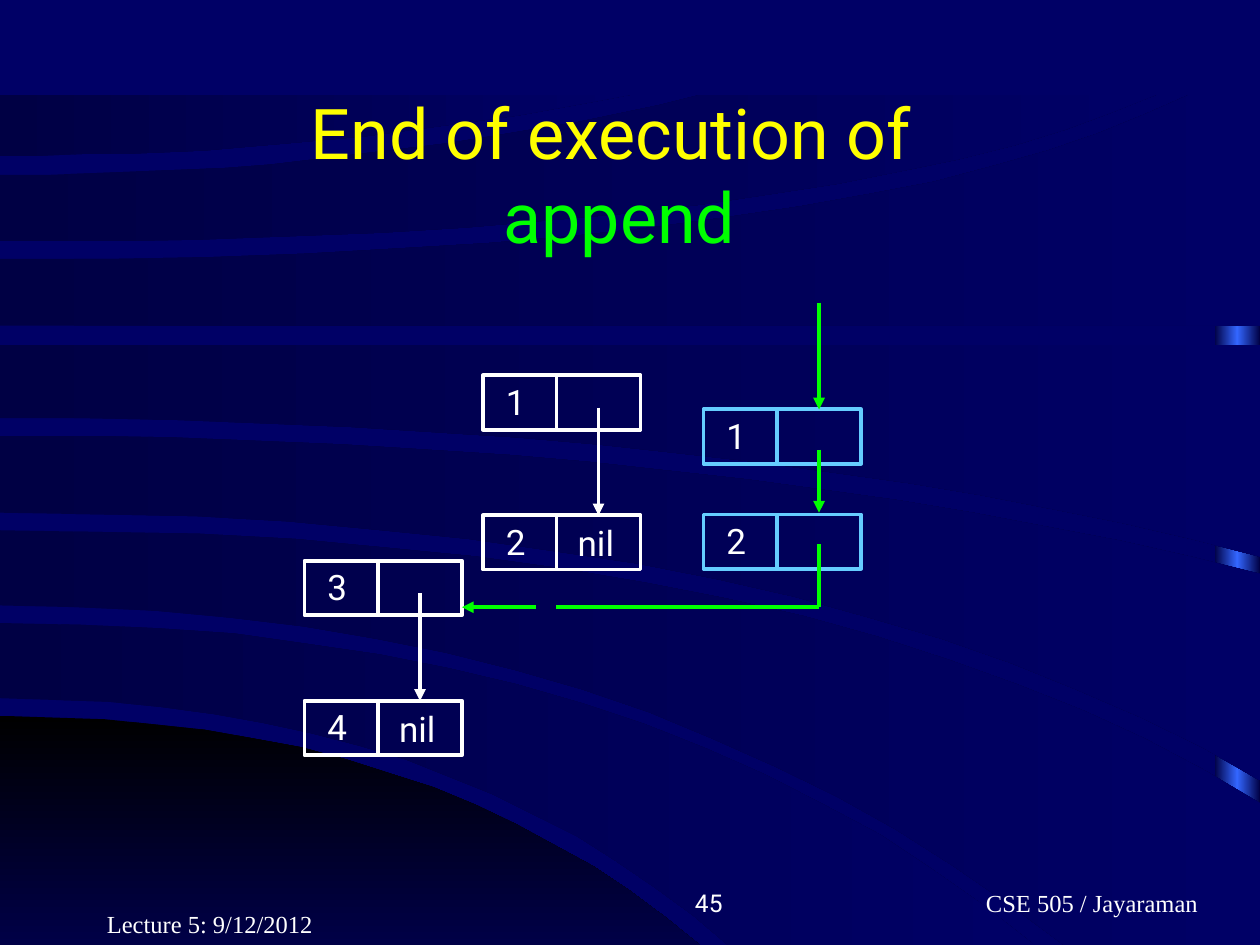
from copy import deepcopy

from lxml import etree
from pptx import Presentation
from pptx import util as u
from pptx.dml import color
from pptx.enum import shapes, text
from pptx.oxml import ns

Pt = u.Pt
WHITE, GREEN, YELLOW, CYAN = "FFFFFF", "00FF00", "FFFF00", "66CCFF"
NIGHT, NAVY, BLUE = "000044", "000066", "3366FF"
SANS, SERIF = "Roboto", "Times New Roman"
STROKE = 2.25
NODE_WIDTH, NODE_HEIGHT, DIVIDER, POINTER = 90, 31, 42, 66
CURVE_STEPS = 16


def rgb(hex_string):
    return color.RGBColor.from_string(hex_string)


def paint_gradient(shape, colours, angle=0):
    shape.shadow.inherit = False
    shape.line.fill.background()
    shape.fill.gradient()
    shape.fill.gradient_angle = angle
    stop_list = shape.element.spPr.find(".//" + ns.qn("a:gsLst"))
    while len(stop_list) < len(colours):
        stop_list.append(deepcopy(stop_list[-1]))
    for index, (stop, colour) in enumerate(zip(shape.fill.gradient_stops, colours)):
        stop.position = index / (len(colours) - 1)
        stop.color.rgb = rgb(colour)


def curve(start_y, bend_x, end_x, end_y):
    points = []
    for step in range(CURVE_STEPS + 1):
        t = step / CURVE_STEPS
        points.append((2 * t * (1 - t) * bend_x + t * t * end_x,
                       start_y + t * t * (end_y - start_y)))
    return points


def flat(y, end_x):
    return [(0, y), (end_x, y)]


def add_band(slide, left, top, upper, lower):
    nearer, farther = sorted([upper[-1], lower[-1]])
    corner = (farther[0], nearer[1])
    outline = [(left + x, top + y) for x, y in upper + [corner] + lower[::-1]]
    builder = slide.shapes.build_freeform(*outline[0], scale=Pt(1))
    builder.add_line_segments(outline[1:], close=True)
    return builder.convert_to_shape()


def add_backdrop(slide, left, top, width, height):
    slide.background.fill.solid()
    slide.background.fill.fore_color.rgb = rgb(NAVY)
    edge = slide.shapes.add_shape(shapes.MSO_SHAPE.RECTANGLE, Pt(left + width - 26),
                                  Pt(top + 56), Pt(26), Pt(height - 56))
    paint_gradient(edge, [NIGHT, BLUE, NIGHT])
    hill = add_band(slide, left, top, curve(409, 246, 400, height), flat(height, 400))
    paint_gradient(hill, ["000000", "000047"], 270)
    bands = [
        (curve(356, 370, 591, height), curve(399, 255, 416, height)),
        (curve(303, 470, width, 459), curve(346, 362, 608, height)),
        (curve(249, 404, width, 328), curve(293, 460, width, 446)),
        (flat(197, width), curve(239, 415, width, 318)),
        (curve(148, 492, 680, 54), flat(186, width)),
        (curve(100, 210, 401, 54), curve(138, 470, 661, 54)),
        (flat(54, 361), curve(89, 190, 361, 54)),
    ]
    for upper, lower in bands:
        paint_gradient(add_band(slide, left, top, upper, lower), [NIGHT, NAVY])


def add_run(paragraph, words, size, font, colour):
    run = paragraph.add_run()
    run.text = words
    run.font.size = Pt(size)
    run.font.name = font
    run.font.color.rgb = rgb(colour)


def add_title(slide, left, top, width, height):
    title = slide.shapes.title
    title.element.getparent().append(title.element)
    title.left, title.top, title.width, title.height = map(Pt, (left, top, width, height))
    frame = title.text_frame
    frame.auto_size = text.MSO_AUTO_SIZE.NONE
    frame.vertical_anchor = text.MSO_ANCHOR.MIDDLE
    heading = frame.paragraphs[0]
    heading.alignment = text.PP_ALIGN.CENTER
    add_run(heading, "End of execution of ", 40, SANS, YELLOW)
    heading.add_line_break()
    add_run(heading, "append", 40, SANS, GREEN)


def add_footer(slide, left, top, width, words, font, align, tab=None):
    footer = slide.shapes.add_textbox(Pt(left), Pt(top), Pt(width), Pt(36))
    frame = footer.text_frame
    frame.word_wrap = True
    frame.vertical_anchor = text.MSO_ANCHOR.BOTTOM
    paragraph = frame.paragraphs[0]
    paragraph.alignment = align
    if tab:
        tabs = etree.SubElement(paragraph._p.get_or_add_pPr(), ns.qn("a:tabLst"))
        etree.SubElement(tabs, ns.qn("a:tab"), pos=str(int(Pt(tab))), algn="l")
    add_run(paragraph, words, 14, font, WHITE)


def add_line(slide, start, end, colour, arrow=False):
    line = slide.shapes.add_connector(shapes.MSO_CONNECTOR.STRAIGHT,
                                      *map(Pt, (*start, *end)))
    line.line.color.rgb = rgb(colour)
    line.line.width = Pt(STROKE)
    if arrow:
        outline = line.element.spPr.find(ns.qn("a:ln"))
        etree.SubElement(outline, ns.qn("a:tailEnd"), type="triangle")
    etree.SubElement(line.element.spPr, ns.qn("a:effectLst"))


def add_label(slide, left, top, width, words):
    label = slide.shapes.add_textbox(Pt(left), Pt(top), Pt(width), Pt(31.5))
    label.text_frame.word_wrap = False
    label.text_frame.auto_size = text.MSO_AUTO_SIZE.SHAPE_TO_FIT_TEXT
    add_run(label.text_frame.paragraphs[0], words, 20, SANS, WHITE)


def add_node(slide, left, top, value, colour, is_last=False):
    cell = slide.shapes.add_shape(shapes.MSO_SHAPE.RECTANGLE, Pt(left), Pt(top),
                                  Pt(NODE_WIDTH), Pt(NODE_HEIGHT))
    cell.shadow.inherit = False
    cell.fill.background()
    cell.line.color.rgb = rgb(colour)
    cell.line.width = Pt(STROKE)
    add_line(slide, (left + DIVIDER, top), (left + DIVIDER, top + NODE_HEIGHT), colour)
    add_label(slide, left + 6, top - 0.75, 26, value)
    if is_last:
        add_label(slide, left + 47, top, 37, "nil")


def add_input_list(slide, left, top, first, second):
    drop = 80
    add_node(slide, left, top, first, WHITE)
    add_node(slide, left, top + drop, second, WHITE, is_last=True)
    add_line(slide, (left + POINTER, top + 18.5), (left + POINTER, top + drop), WHITE, True)


def add_result_list(slide, left, top, shared_right):
    drop = 60
    pointer, turn = left + POINTER, top + 113
    add_node(slide, left, top, "1", CYAN)
    add_node(slide, left, top + drop, "2", CYAN)
    add_line(slide, (pointer, top - 61), (pointer, top), GREEN, True)
    add_line(slide, (pointer, top + 23), (pointer, top + drop - 1), GREEN, True)
    add_line(slide, (pointer, top + 77), (pointer, turn), GREEN)
    add_line(slide, (shared_right + 54, turn), (pointer, turn), GREEN)
    add_line(slide, (shared_right + 42, turn), (shared_right, turn), GREEN, True)


def main():
    deck = Presentation()
    deck.slide_width, deck.slide_height = Pt(720), Pt(540)
    slide = deck.slides.add_slide(deck.slide_layouts[5])
    add_backdrop(slide, 0, 0, 720, 540)
    add_title(slide, 48, 54, 612, 90)
    add_input_list(slide, 174, 320.5, "3", "4")
    add_input_list(slide, 276, 214.5, "1", "2")
    add_result_list(slide, 402, 234, 174 + NODE_WIDTH)
    add_footer(slide, 54, 504, 150, "Lecture 5: 9/12/2012", SERIF, text.PP_ALIGN.LEFT)
    add_footer(slide, 270, 492, 150, "45", SANS, text.PP_ALIGN.RIGHT)
    add_footer(slide, 474, 492, 228, "\tCSE 505 / Jayaraman", SERIF,
               text.PP_ALIGN.CENTER, tab=72)
    deck.save("out.pptx")


if __name__ == "__main__":
    main()
